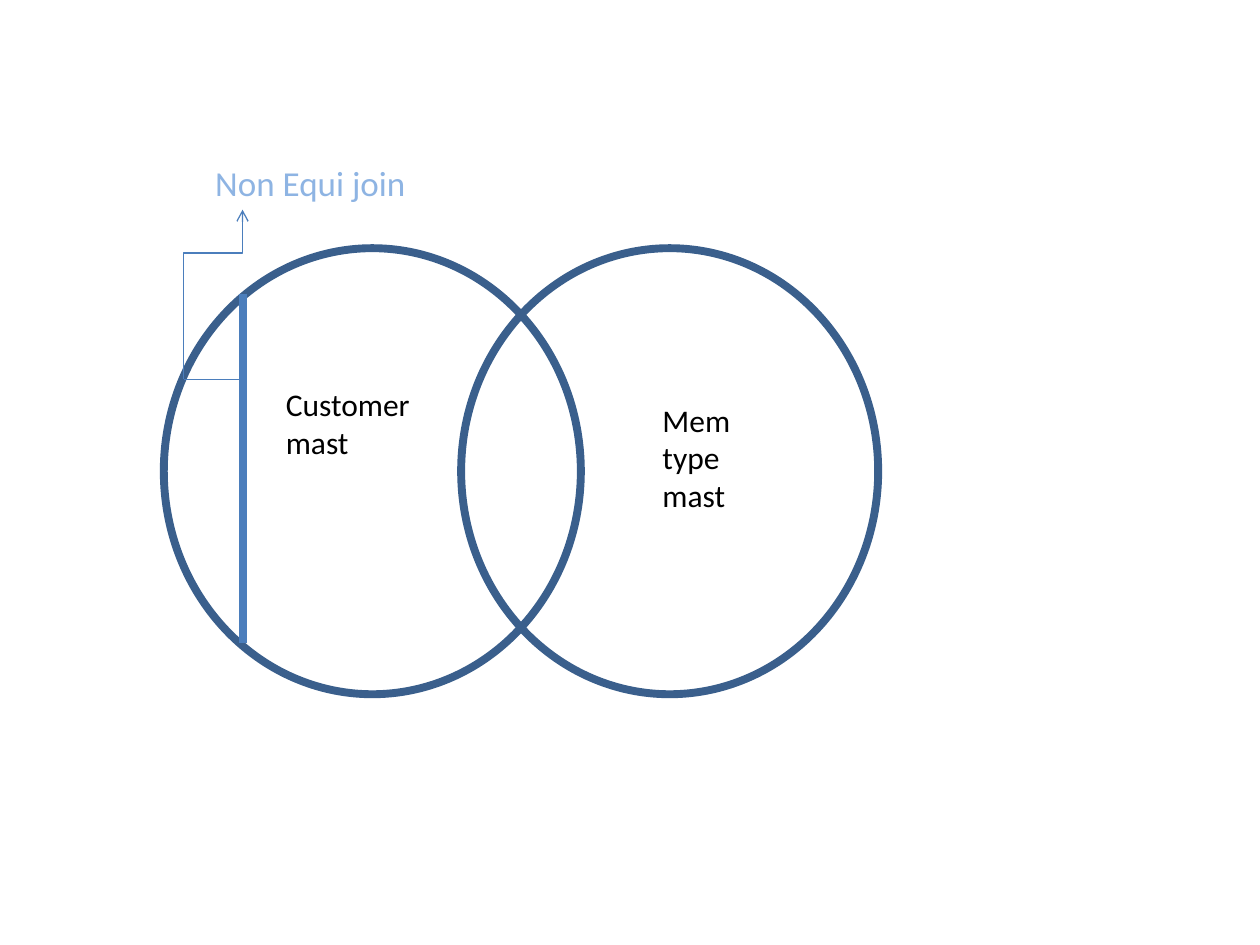
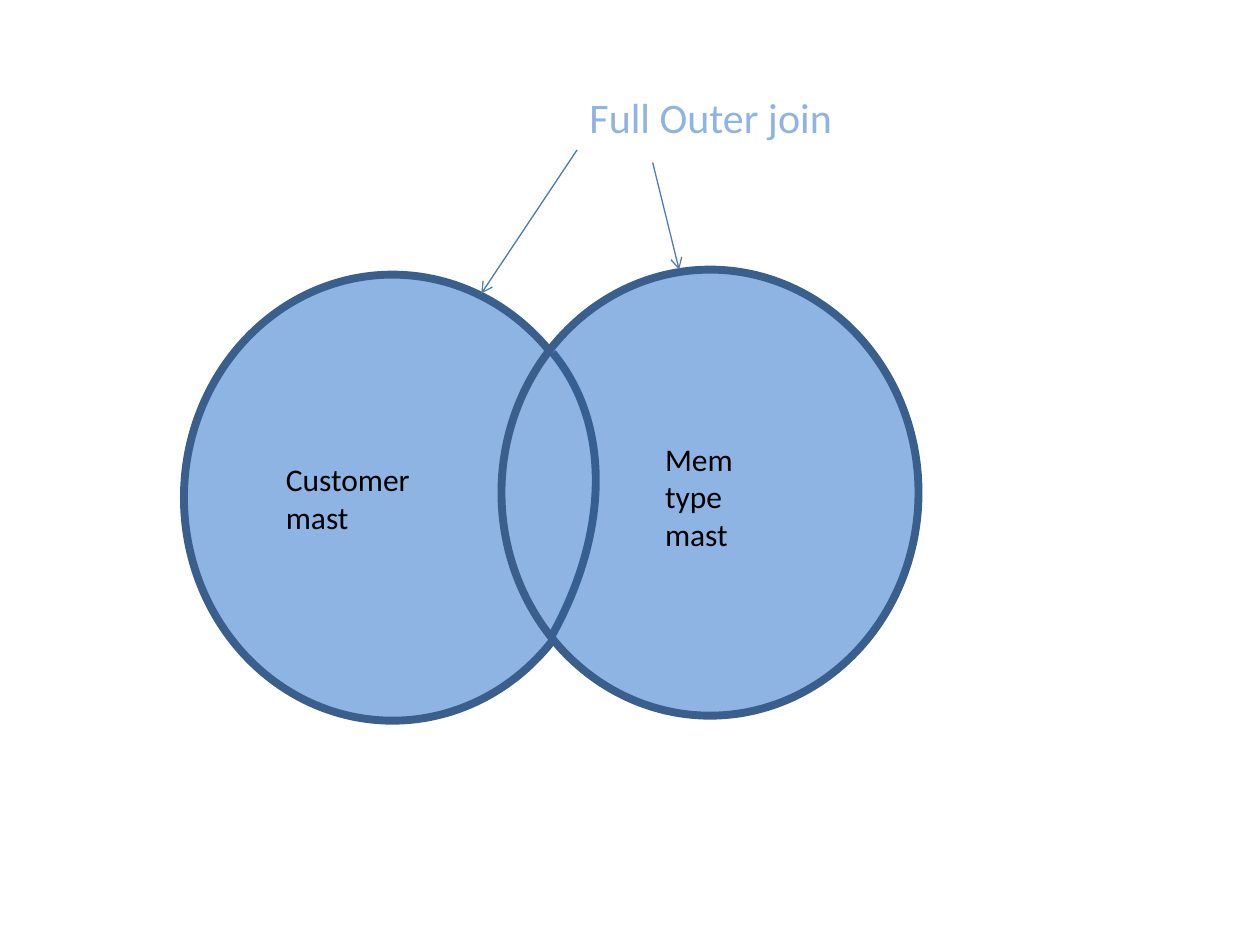
from pptx import Presentation
from pptx.dml.color import RGBColor
from pptx.enum.shapes import MSO_CONNECTOR, MSO_SHAPE
from pptx.oxml.ns import qn
from pptx.util import Inches, Pt
from lxml.etree import SubElement

COLORS = {"outline": "3A5F8C", "line": "4B7EBC", "light": "8EB4E3",
          "arc": "376092", "text": "000000"}
FONT = "Calibri"
CIRCLE_W, CIRCLE_H = 3.31, 3.54
THICK, THIN = 4.5, 0.75


def add_text(s, text, x, y, w, h, size=18, color="text", fill=None):
    sp = s.shapes.add_textbox(Inches(x), Inches(y), Inches(w), Inches(h))
    if fill:
        sp.fill.solid()
        sp.fill.fore_color.rgb = RGBColor.from_string(COLORS[fill])
    tf = sp.text_frame
    tf.word_wrap = True
    tf.text = text
    for p in tf.paragraphs:
        p.font.name = FONT
        p.font.size = Pt(size)
        p.font.color.rgb = RGBColor.from_string(COLORS[color])


def add_line(s, x1, y1, x2, y2, width=THIN, arrow=False, kind=MSO_CONNECTOR.STRAIGHT):
    cxn = s.shapes.add_connector(kind, Inches(x1), Inches(y1), Inches(x2), Inches(y2))
    cxn.line.color.rgb = RGBColor.from_string(COLORS["line"])
    cxn.line.width = Pt(width)
    spPr = cxn._element.spPr
    if arrow:
        SubElement(spPr.find(qn("a:ln")), qn("a:tailEnd"), type="arrow")
    SubElement(spPr, qn("a:effectLst"))
    return cxn


prs = Presentation()
prs.slide_width, prs.slide_height = Inches(10), Inches(7.5)

joins = [
    {"fill": None,
     "circles": [(1.3, 1.97), (3.66, 1.97)],
     "labels": [("Customer\nmast", 2.17, 3.01, 1.2), ("Mem type\nmast", 5.16, 3.13, 1.24)]},
    {"fill": "light",
     "circles": [(1.46, 2.18), (3.98, 2.14)],
     "labels": [("Customer\nmast", 2.17, 3.6, 1.2), ("Mem type\nmast", 5.18, 3.44, 1.24)]},
]

slides = []
for join in joins:
    s = prs.slides.add_slide(prs.slide_layouts[6])
    slides.append(s)
    for x, y in join["circles"]:
        sp = s.shapes.add_shape(MSO_SHAPE.OVAL, Inches(x), Inches(y),
                                Inches(CIRCLE_W), Inches(CIRCLE_H))
        sp.shadow.inherit = False
        if join["fill"]:
            sp.fill.solid()
            sp.fill.fore_color.rgb = RGBColor.from_string(COLORS[join["fill"]])
        else:
            sp.fill.background()
        sp.line.color.rgb = RGBColor.from_string(COLORS["outline"])
        sp.line.width = Pt(THICK)
    for text, x, y, w in join["labels"]:
        add_text(s, text, x, y, w, 0.71, fill=join["fill"])

non_equi, full_outer = slides

add_line(non_equi, 1.93, 2.33, 1.93, 5.1, width=THICK)
add_text(non_equi, "Non Equi join", 1.61, 1.23, 1.72, 0.44, size=20, color="light")
bent = add_line(non_equi, 2.36, 2.57, 1.02, 2.1, arrow=True, kind=MSO_CONNECTOR.ELBOW)
bent_pr = bent._element.spPr
bent_pr.find(qn("a:xfrm")).set("rot", str(90 * 60000))
guides = bent_pr.find(qn("a:prstGeom")).find(qn("a:avLst"))
SubElement(guides, qn("a:gd"), name="adj1", fmla="val 74400")
add_line(non_equi, 1.46, 3.01, 1.93, 3.01)

arc = full_outer.shapes.add_shape(MSO_SHAPE.ARC, Inches(0.29), Inches(1.8),
                                  Inches(3.93), Inches(5.54))
arc.shadow.inherit = False
arc.rotation = 50.3
arc.adjustments[0] = 162
arc.adjustments[1] = 193.53
arc.fill.background()
arc.line.color.rgb = RGBColor.from_string(COLORS["arc"])
arc.line.width = Pt(THICK)
add_text(full_outer, "Full Outer join", 4.58, 0.68, 2.22, 0.5, size=24, color="light")
add_line(full_outer, 5.18, 1.29, 5.39, 2.14, arrow=True)
add_line(full_outer, 4.58, 1.19, 3.82, 2.33, arrow=True)

prs.save("out.pptx")
